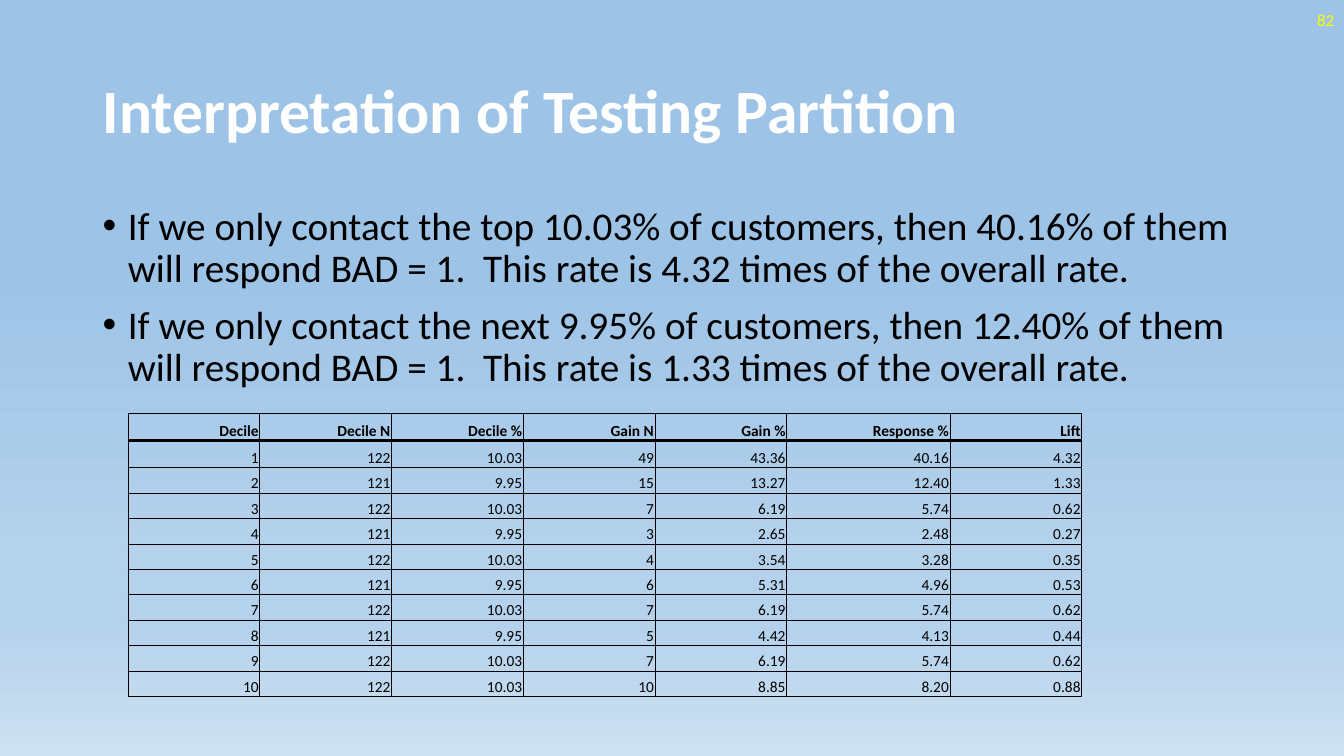
from lxml import etree
from pptx import Presentation
from pptx.dml.color import RGBColor
from pptx.enum import text as en
from pptx.oxml import ns
from pptx.util import Inches, Pt


class Theme:
    font = "Calibri"
    white, black, yellow = "FFFFFF", "000000", "FFFF00"
    sky = [(35, "9DC3E6"), (74, "B5D2EC"), (83, "B5D2EC"), (100, "CEE1F2")]
    title, body, page, cell = 44, 28, 12, 11
    thin, thick = 0.5, 2


def style(par, size, color, bold=False):
    font = par.font
    font.name, font.size, font.bold = Theme.font, Pt(size), bold
    font.color.rgb = RGBColor.from_string(color)


def add_text(box, lines, anchor):
    shape = slide.shapes.add_textbox(*[Inches(n) for n in box])
    frame = shape.text_frame
    frame.word_wrap = True
    frame.vertical_anchor = anchor
    frame.text = "\n".join(lines)
    return frame.paragraphs


prs = Presentation()
prs.slide_width, prs.slide_height = Inches(13.33), Inches(7.5)
slide = prs.slides.add_slide(prs.slide_layouts[6])

fill = slide.background.fill
fill.gradient()
fill.gradient_angle = 270
stops = next(slide.element.iter(ns.qn("a:gsLst")))
for stop in list(stops):
    stops.remove(stop)
for pos, color in Theme.sky:
    stop = etree.SubElement(stops, ns.qn("a:gs"), pos=str(pos * 1000))
    etree.SubElement(stop, ns.qn("a:srgbClr"), val=color)

title = add_text((0.92, 0.4, 11.5, 1.45), ["Interpretation of Testing Partition"],
                 en.MSO_ANCHOR.MIDDLE)[0]
title.line_spacing = 0.9
style(title, Theme.title, Theme.white, True)

points = [
    "If we only contact the top 10.03% of customers, then 40.16% of them "
    "will respond BAD = 1.  This rate is 4.32 times of the overall rate.",
    "If we only contact the next 9.95% of customers, then 12.40% of them "
    "will respond BAD = 1.  This rate is 1.33 times of the overall rate.",
]
for i, par in enumerate(add_text((0.92, 2, 11.5, 4.76), points, en.MSO_ANCHOR.TOP)):
    par.line_spacing = 0.9
    if i:
        par.space_before = Pt(10)
    props = par._p.get_or_add_pPr()
    props.set("marL", str(Inches(0.25)))
    props.set("indent", str(Inches(-0.25)))
    etree.SubElement(props, ns.qn("a:buFont"), typeface="Arial")
    etree.SubElement(props, ns.qn("a:buChar"), char="•")
    style(par, Theme.body, Theme.black)

page = add_text((10.33, 0, 3, 0.4), ["82"], en.MSO_ANCHOR.MIDDLE)[0]
page.alignment = en.PP_ALIGN.RIGHT
style(page, Theme.page, Theme.yellow)

rows = [
    ["Decile", "Decile N", "Decile %", "Gain N", "Gain %", "Response %", "Lift"],
    ["1", "122", "10.03", "49", "43.36", "40.16", "4.32"],
    ["2", "121", "9.95", "15", "13.27", "12.40", "1.33"],
    ["3", "122", "10.03", "7", "6.19", "5.74", "0.62"],
    ["4", "121", "9.95", "3", "2.65", "2.48", "0.27"],
    ["5", "122", "10.03", "4", "3.54", "3.28", "0.35"],
    ["6", "121", "9.95", "6", "5.31", "4.96", "0.53"],
    ["7", "122", "10.03", "7", "6.19", "5.74", "0.62"],
    ["8", "121", "9.95", "5", "4.42", "4.13", "0.44"],
    ["9", "122", "10.03", "7", "6.19", "5.74", "0.62"],
    ["10", "122", "10.03", "10", "8.85", "8.20", "0.88"],
]
wide, high = 9.46, 2.81
table = slide.shapes.add_table(len(rows), len(rows[0]), Inches(1.27), Inches(4.1),
                               Inches(wide), Inches(high)).table
table.first_row = table.horz_banding = False
for c, col in enumerate(table.columns):
    col.width = Inches(1.62 if c == 5 else (wide - 1.62) / 6)

for r, row in enumerate(rows):
    table.rows[r].height = Inches(0.27 if r < 2 else (high - 0.54) / 9)
    for c, value in enumerate(row):
        cell = table.cell(r, c)
        cell.margin_left = cell.margin_right = cell.margin_top = Inches(0.01)
        cell.margin_bottom = 0
        cell.vertical_anchor = en.MSO_ANCHOR.BOTTOM
        cell.text = value
        par = cell.text_frame.paragraphs[0]
        par.alignment = en.PP_ALIGN.RIGHT
        style(par, Theme.cell, Theme.black, r == 0)
        props = cell._tc.get_or_add_tcPr()
        for side in "LRTB":
            heavy = (r, side) in [(0, "B"), (1, "T")]
            width = Pt(Theme.thick if heavy else Theme.thin)
            line = etree.SubElement(props, ns.qn("a:ln" + side), w=str(width))
            paint = etree.SubElement(line, ns.qn("a:solidFill"))
            etree.SubElement(paint, ns.qn("a:srgbClr"), val=Theme.black)
        cell.fill.background()

prs.save("out.pptx")
